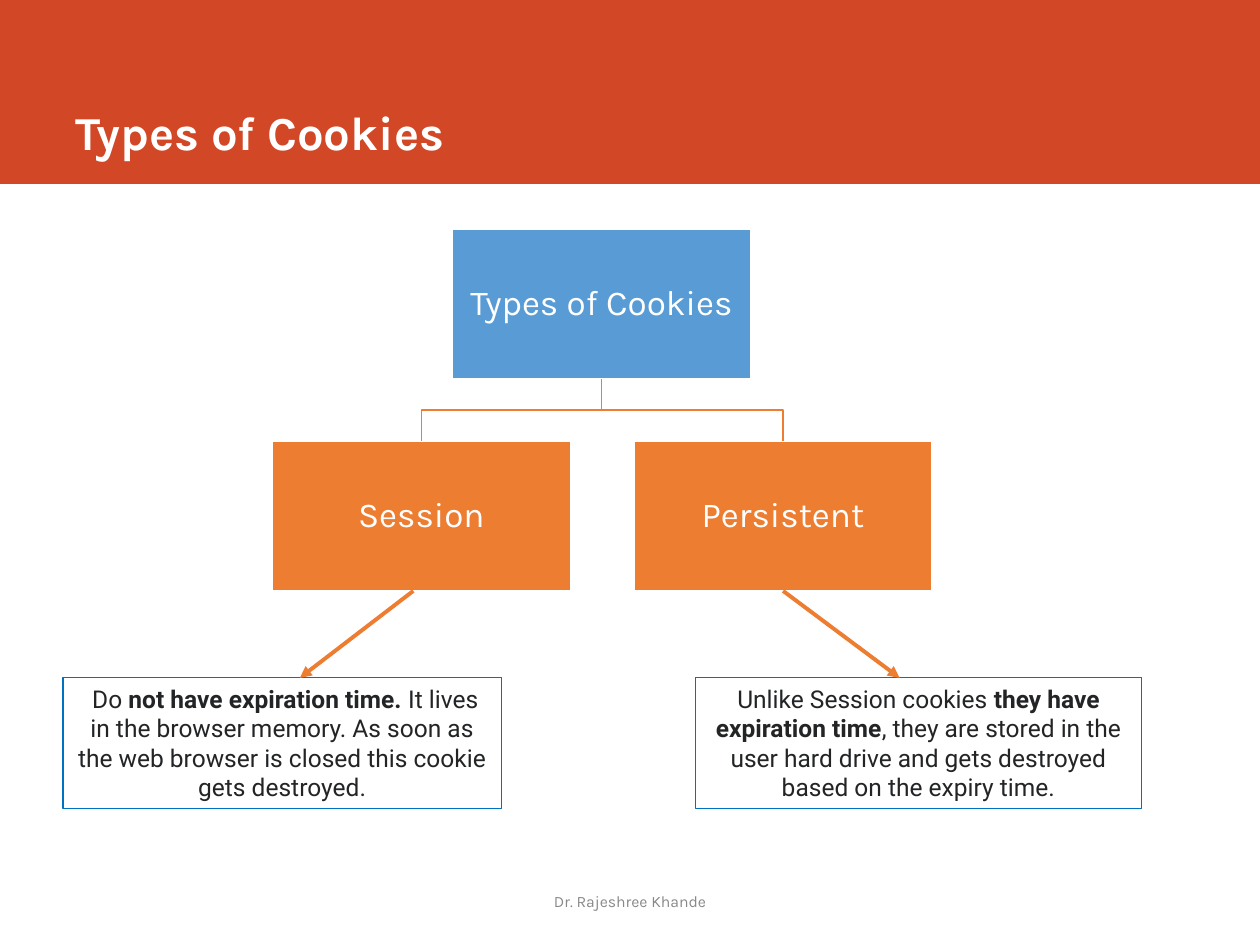
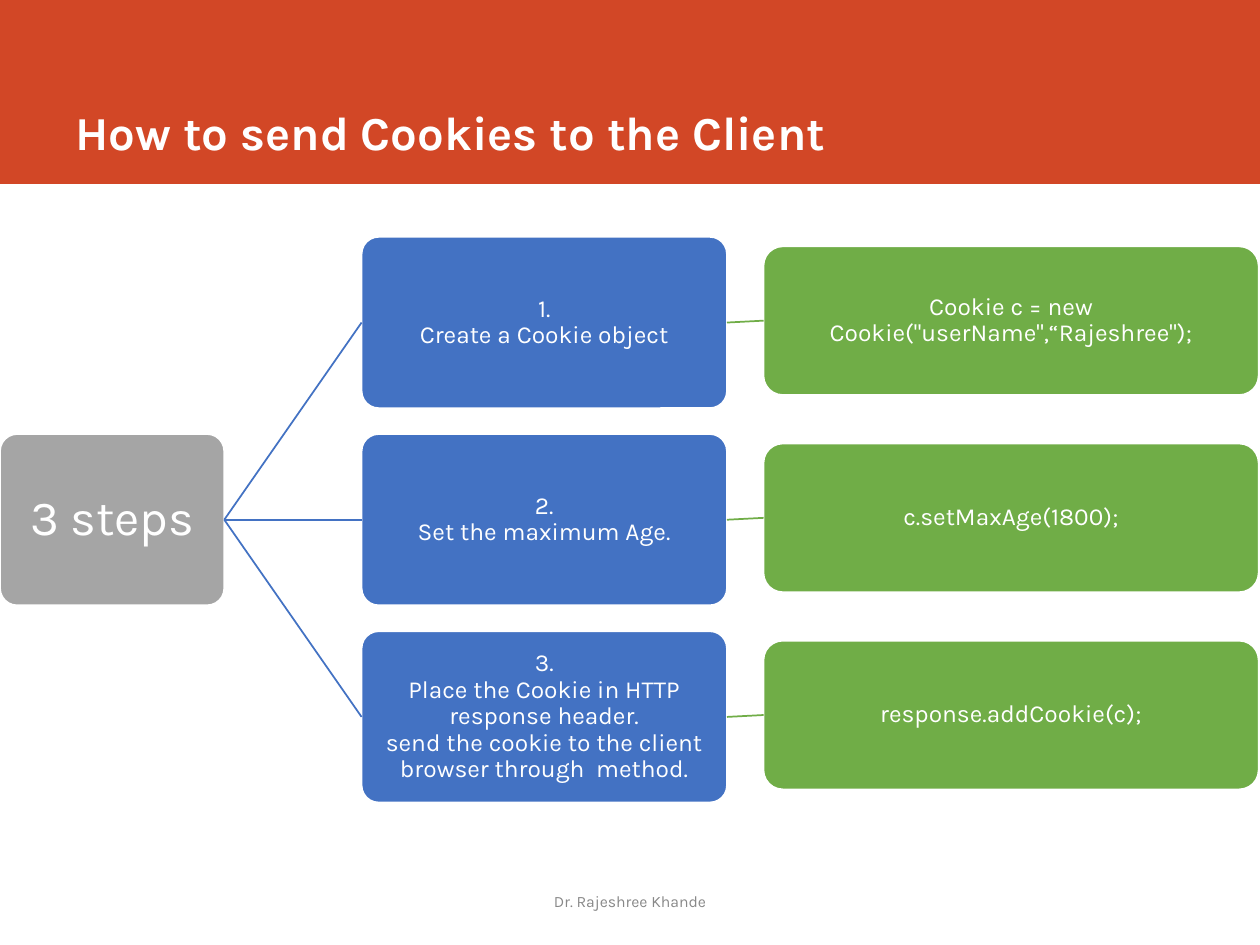
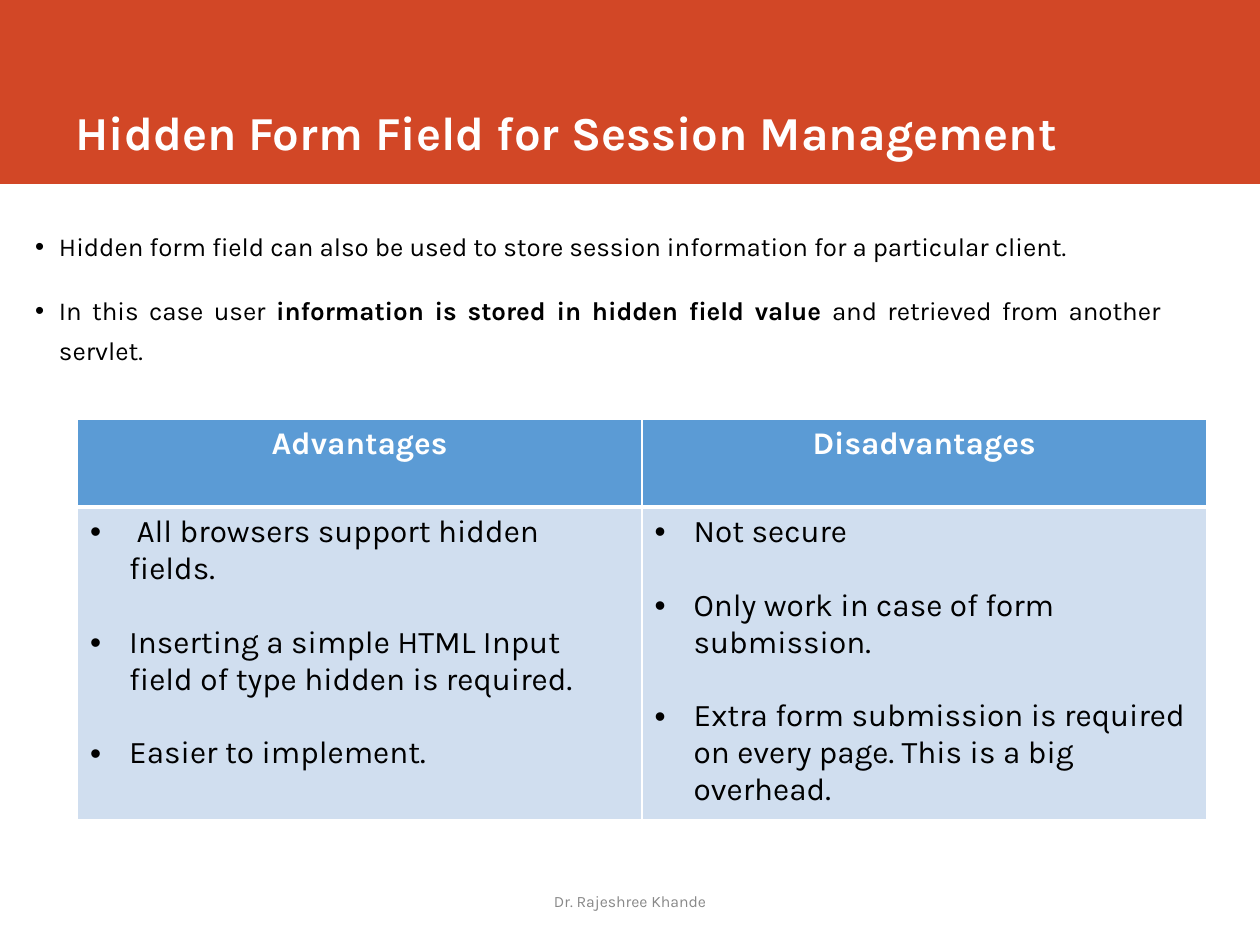
from lxml.etree import SubElement
from pptx import Presentation
from pptx.dml.color import RGBColor
from pptx.enum.shapes import MSO_CONNECTOR, MSO_SHAPE
from pptx.enum.text import MSO_ANCHOR as ANCHOR, PP_ALIGN as ALIGN
from pptx.oxml.ns import qn
from pptx.util import Inches, Pt

# All places are in grid units: the slide is 100 columns by 75 rows.
COLUMNS, ROWS = 100, 75
UNIT = Inches(0.1)
BAND, WHITE, BLACK, GREY = "D24726", "FFFFFF", "000000", "888888"
BLUE, ORANGE, SILVER = "599BD5", "ED7D31", "A5A5A5"
STEP_BLUE, CODE_GREEN = "4372C3", "70AD47"
NOTE_LINE, NOTE_TEXT = "0070C0", "222426"
HEAD_FILL, BODY_FILL = "5B9BD5", "D0DEEF"
TOP, LEFT, BOTTOM, RIGHT = range(4)


def color(value):
    return RGBColor.from_string(value)


def grid(*lengths):
    return [round(length * UNIT) for length in lengths]


def write(frame, text, size=14, font="Karla", ink=WHITE, bold=False, align=ALIGN.LEFT,
          anchor=ANCHOR.TOP, spacing=1.0, before=0, indent=0, inset=None):
    """Fill a frame, one paragraph a line; words between asterisks are bold."""
    frame.word_wrap = True
    frame.vertical_anchor = anchor
    if inset is not None:
        frame.margin_left = frame.margin_right = Inches(inset)
        frame.margin_top = frame.margin_bottom = Inches(inset)
    for row, line in enumerate(text.split("\n")):
        para = frame.add_paragraph() if row else frame.paragraphs[0]
        para.alignment, para.line_spacing = align, spacing
        para.space_before = Pt(before if row else 0)
        if indent:
            add_bullet(para, indent)
        for part, words in enumerate(line.split("*")):
            if words:
                span = para.add_run()
                span.text = words
                span.font.size, span.font.name = Pt(size), font
                span.font.bold = bold or part % 2 == 1
                span.font.color.rgb = color(ink)


def add_bullet(para, indent):
    properties = para._p.get_or_add_pPr()
    properties.set("marL", str(Inches(indent)))
    properties.set("indent", str(-Inches(indent)))
    SubElement(properties, qn("a:buFont"), typeface="Arial")
    SubElement(properties, qn("a:buChar"), char="•")


def add_text(page, place, text, **style):
    write(page.shapes.add_textbox(*grid(*place)).text_frame, text, **style)


def add_box(page, place, text="", fill=None, line=None, weight=1, corner=None, **style):
    kind = MSO_SHAPE.RECTANGLE if corner is None else MSO_SHAPE.ROUNDED_RECTANGLE
    box = page.shapes.add_shape(kind, *grid(*place))
    box.shadow.inherit = False
    if corner is not None:
        box.adjustments[0] = corner
    if fill:
        box.fill.solid()
        box.fill.fore_color.rgb = color(fill)
    else:
        box.fill.background()
    if line:
        box.line.color.rgb = color(line)
        box.line.width = Pt(weight)
    else:
        box.line.fill.background()
    if text:
        write(box.text_frame, text, align=ALIGN.CENTER, **style)
    return box


def add_node(page, place, text, fill, **style):
    return add_box(page, place, text, fill, WHITE, anchor=ANCHOR.MIDDLE, spacing=0.9, **style)


def add_line(page, ink, weight=1, start=(0, 0), end=(0, 0), joins=(None, None), arrow=False):
    """Draw from start to end; a join (box, side) takes the place of a point."""
    line = page.shapes.add_connector(MSO_CONNECTOR.STRAIGHT, *grid(*start, *end))
    for connect, join in zip((line.begin_connect, line.end_connect), joins):
        if join:
            connect(*join)
    line.line.color.rgb = color(ink)
    line.line.width = Pt(weight)
    properties = line._element.spPr
    if arrow:
        SubElement(properties.get_or_add_ln(), qn("a:tailEnd"), type="triangle")
    SubElement(properties, qn("a:effectLst"))


def add_branch(page, parent, child):
    """Draw a bent line from the bottom of parent to the top of child."""
    start_x, end_x = (box.left + box.width // 2 for box in (parent, child))
    start_y, end_y = parent.top + parent.height, child.top
    middle = (start_y + end_y) // 2
    builder = page.shapes.build_freeform(start_x, start_y)
    builder.add_line_segments([(start_x, middle), (end_x, middle), (end_x, end_y)], close=False)
    branch = builder.convert_to_shape()
    branch.shadow.inherit = False
    branch.fill.background()
    branch.line.color.rgb = color(ORANGE)
    branch.line.width = Pt(1)


def style_cell(cell, fill, top, bottom):
    properties = cell._tc.get_or_add_tcPr()
    for edge, weight in zip(("lnL", "lnR", "lnT", "lnB"), (1, 1, top, bottom)):
        border = SubElement(properties, qn(f"a:{edge}"), w=str(Pt(weight)))
        SubElement(SubElement(border, qn("a:solidFill")), qn("a:srgbClr"), val=WHITE)
    cell.fill.solid()
    cell.fill.fore_color.rgb = color(fill)


def add_comparison(page, place, heights, columns):
    """Add a table with one header and one bulleted cell for each column."""
    table = page.shapes.add_table(2, len(columns), *grid(*place)).table
    for row, height in zip(table.rows, grid(*heights)):
        row.height = height
    for index, (heading, points) in enumerate(columns.items()):
        head, body = table.cell(0, index), table.cell(1, index)
        style_cell(head, HEAD_FILL, 1, 3)
        style_cell(body, BODY_FILL, 3, 1)
        write(head.text_frame, heading, size=18, bold=True, align=ALIGN.CENTER)
        write(body.text_frame, points, size=18, ink=BLACK, indent=0.31, before=21)


def add_page(deck, title):
    page = deck.slides.add_slide(deck.slide_layouts[6])
    add_box(page, (0, 0, COLUMNS, 14.6), fill=BAND)
    add_text(page, (5, 0, 88.2, 13.2), title, size=27, bold=True, anchor=ANCHOR.BOTTOM)
    add_text(page, (38.1, 69.5, 23.8, 4), "Dr. Rajeshree Khande", size=9, ink=GREY,
             align=ALIGN.CENTER, anchor=ANCHOR.MIDDLE)
    return page


def add_types_page(deck):
    page = add_page(deck, "Types of Cookies")
    width, height = 23.7, 11.9
    node = {"size": 20, "inset": 0.01}
    root = add_node(page, (35.9, 18.2, width, height), "Types of Cookies", BLUE, **node)
    session, persistent = (
        add_node(page, (left, 35, width, height), name, ORANGE, **node)
        for left, name in ((21.6, "Session"), (50.3, "Persistent")))
    for child in (session, persistent):
        add_branch(page, root, child)

    notes = (
        (5, 34.8, " Do *not have expiration time. *It lives in the browser memory. As soon as "
                  "the web browser is closed this cookie gets destroyed."),
        (55.2, 35.4, "Unlike Session cookies *they have expiration time*, they are stored in "
                     "the user hard drive and gets destroyed based on the expiry time."))
    for left, note_width, text in notes:
        add_box(page, (left, 53.8, note_width, 10.4), text, line=NOTE_LINE, weight=0.75,
                font="Roboto", ink=NOTE_TEXT)
    add_line(page, ORANGE, 2.25, (32.8, 46.9), (23.8, 53.8), arrow=True)
    add_line(page, ORANGE, 2.25, end=(71.4, 53.8), joins=((persistent, BOTTOM), None), arrow=True)


def add_steps_page(deck):
    page = add_page(deck, "How to send Cookies to the Client")
    first, pitch, height, code_height = 18.8, 15.65, 13.6, 11.8
    steps = (
        ("1.\nCreate a Cookie object", 'Cookie c = new Cookie("userName",“Rajeshree");'),
        ("2.\nSet the maximum Age.", "c.setMaxAge(1800);"),
        ("3.\nPlace the Cookie in HTTP response header.\n"
         "send the cookie to the client browser through  method.", "response.addCookie(c);"))
    root = add_node(page, (0, first + pitch, 17.8, height), "3 steps", SILVER,
                    corner=0.1, size=28, inset=0.06)
    for index, (action, code) in enumerate(steps):
        top = first + index * pitch
        step = add_node(page, (28.7, top, 29, height), action, STEP_BLUE,
                        corner=0.1, inset=0.05)
        sample = add_node(page, (60.6, top + 0.75, 39.3, code_height), code, CODE_GREEN,
                          corner=0.13, inset=0.05)
        add_line(page, STEP_BLUE, joins=((root, RIGHT), (step, LEFT)))
        add_line(page, CODE_GREEN, joins=((step, RIGHT), (sample, LEFT)))


def add_hidden_field_page(deck):
    page = add_page(deck, "Hidden Form Field for Session Management")
    add_text(page, (1.8, 17.1, 91.3, 13.4),
             "Hidden form field can also be used to store session information for a "
             "particular client.\n"
             "In this case user *information is stored in hidden field value *and retrieved "
             "from another servlet.",
             size=14.8, ink=BLACK, align=ALIGN.JUSTIFY, spacing=1.3, before=13.4, indent=0.19)
    add_comparison(page, (6.15, 33.25, 89.6, 31.3), (7, 24.3), {
        "Advantages": " All browsers support hidden fields.\n"
                      "Inserting a simple HTML Input field of type hidden is required.\n"
                      "Easier to implement.",
        "Disadvantages": "Not secure\n"
                         "Only work in case of form submission.\n"
                         "Extra form submission is required on every page. "
                         "This is a big overhead."})


def main():
    deck = Presentation()
    deck.slide_width, deck.slide_height = grid(COLUMNS, ROWS)
    add_types_page(deck)
    add_steps_page(deck)
    add_hidden_field_page(deck)
    deck.save("out.pptx")


if __name__ == "__main__":
    main()
